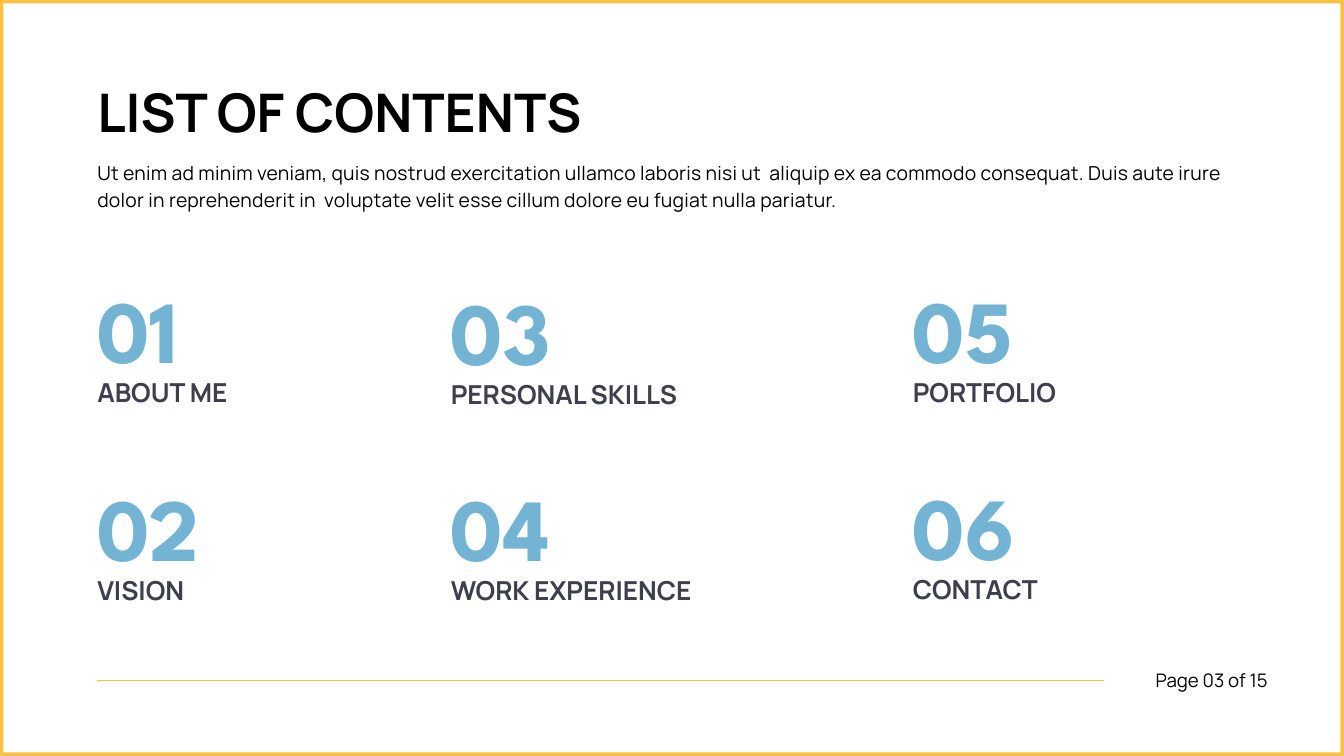
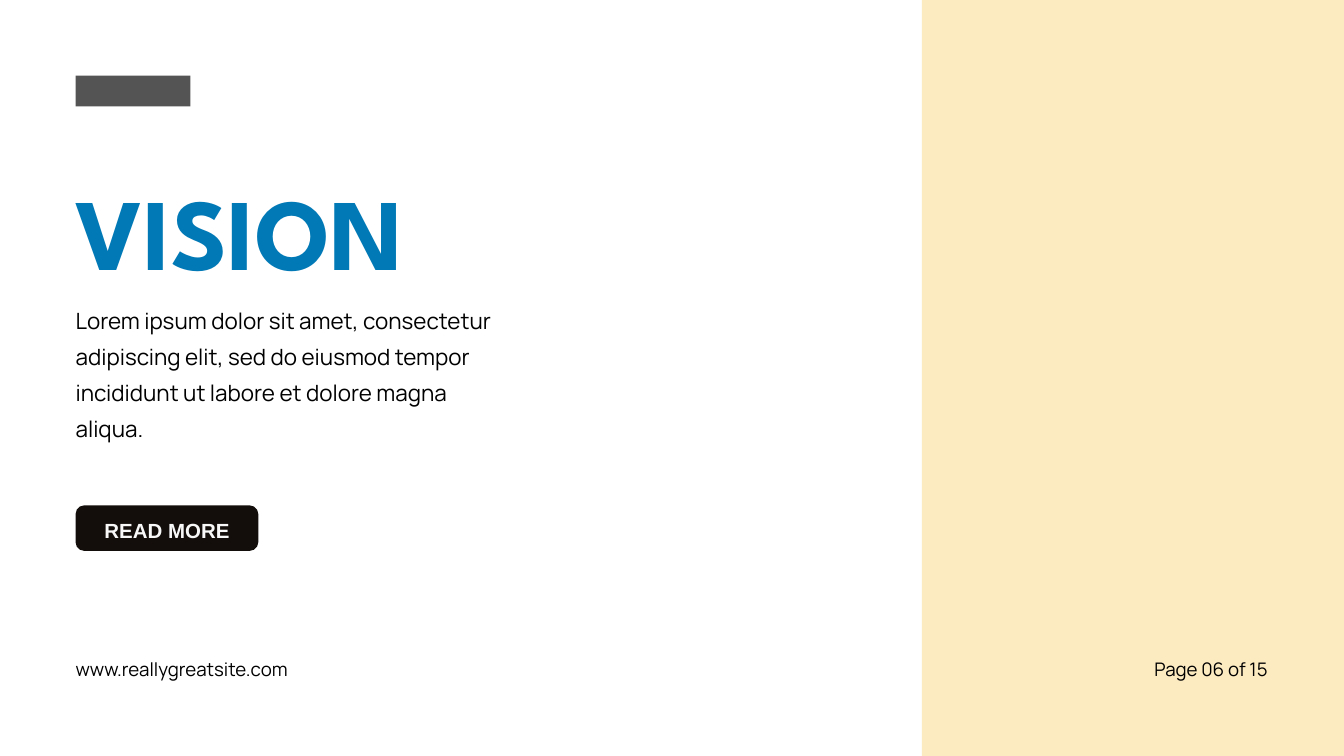
from lxml.etree import SubElement
from pptx import Presentation
from pptx.dml.color import RGBColor
from pptx.enum.shapes import MSO_CONNECTOR, MSO_SHAPE
from pptx.enum.text import MSO_ANCHOR, MSO_AUTO_SIZE, PP_ALIGN
from pptx.oxml.ns import qn
from pptx.util import Pt

EMU_PER_PX = 9525
SLIDE_WIDTH, SLIDE_HEIGHT = 1920, 1080
TITLE_AND_CONTENT = 1
COLORS = {
    "white": "FFFFFF", "black": "000000", "amber": "F9C041", "cream": "FCEAC1",
    "sky": "73B4D5", "blue": "0179B6", "slate": "3D3F4D", "gray": "545454",
    "ink": "130E0C", "mist": "F8F8F8",
}
# font, size, line spacing, colour, bold
STYLES = {
    "heading": ("Manrope", 57, 60.4, "black", True),
    "display": ("League Spartan", 108.8, 108.8, "blue", True),
    "intro": ("Manrope", 20.7, 29, "black", False),
    "body": ("Manrope", 24, 38.4, "black", False),
    "number": ("League Spartan", 95, 114, "sky", True),
    "label": ("Manrope", 28, 33.6, "slate", True),
    "footer": ("Manrope", 20, 28, "black", False),
    "button": ("Arial", 21.9, 30.6, "mist", True),
}
# left edge, tops of the two entries, entries
CONTENTS = [
    (139, (393, 676), [("01", "ABOUT ME"), ("02", "VISION")]),
    (644, (395, 676), [("03", "PERSONAL SKILLS"), ("04", "WORK EXPERIENCE")]),
    (1304, (393, 674), [("05", "PORTFOLIO"), ("06", "CONTACT")]),
]


def px(*lengths):
    return [length * EMU_PER_PX for length in lengths]


def color(name):
    return RGBColor.from_string(COLORS[name])


def write(shape, text, style, align=PP_ALIGN.LEFT, anchor=MSO_ANCHOR.TOP):
    font_name, size, spacing, color_name, bold = STYLES[style]
    frame = shape.text_frame
    frame.text = text
    frame.word_wrap = True
    frame.auto_size = MSO_AUTO_SIZE.NONE
    frame.vertical_anchor = anchor
    frame.margin_left = frame.margin_top = frame.margin_right = frame.margin_bottom = 0
    paragraph = frame.paragraphs[0]
    paragraph.alignment = align
    paragraph.line_spacing = Pt(spacing)
    paragraph.space_before = Pt(0)
    font = paragraph.runs[0].font
    font.name, font.size, font.bold = font_name, Pt(size), bold
    font.color.rgb = color(color_name)


def add_text(slide, box, text, style, align=PP_ALIGN.LEFT):
    write(slide.shapes.add_textbox(*px(*box)), text, style, align)


def add_block(slide, box, color_name, preset=MSO_SHAPE.RECTANGLE):
    shape = slide.shapes.add_shape(preset, *px(*box))
    shape.shadow.inherit = False
    shape.fill.solid()
    shape.fill.fore_color.rgb = color(color_name)
    shape.line.fill.background()
    return shape


def fill_placeholder(shape, box, text, style):
    shape.left, shape.top, shape.width, shape.height = px(*box)
    write(shape, text, style)


def fill_body(shape, box, text, style):
    """Fill the body placeholder as plain text, without bullet or indent."""
    fill_placeholder(shape, box, text, style)
    properties = shape.text_frame.paragraphs[0]._p.get_or_add_pPr()
    properties.set("marL", "0")
    properties.set("indent", "0")
    SubElement(properties, qn("a:buNone"))


def add_slide(presentation):
    slide = presentation.slides.add_slide(presentation.slide_layouts[TITLE_AND_CONTENT])
    slide.background.fill.solid()
    slide.background.fill.fore_color.rgb = color("white")
    return slide


def add_page_number(slide, top, number):
    add_text(slide, (1603, top, 208, 37), f"Page {number} of 15", "footer", PP_ALIGN.RIGHT)


def add_border(slide, thickness):
    border = add_block(slide, (0, 0, SLIDE_WIDTH, SLIDE_HEIGHT), "amber", MSO_SHAPE.FRAME)
    border.adjustments[0] = thickness / SLIDE_HEIGHT


def add_footer_rule(slide, left, right, top):
    rule = slide.shapes.add_connector(MSO_CONNECTOR.STRAIGHT, *px(left, top, right, top))
    rule.line.color.rgb = color("amber")
    rule.line.width = Pt(1.5)
    SubElement(rule._element.spPr, qn("a:effectLst"))


def add_entry(slide, left, top, number, label):
    add_text(slide, (left, top, 310, 150), number, "number")
    add_text(slide, (left, top + 145, 433, 47), label, "label")


def add_button(slide, box, text):
    button = add_block(slide, box, "ink", MSO_SHAPE.ROUNDED_RECTANGLE)
    button.adjustments[0] = 0.19
    write(button, text, "button", PP_ALIGN.CENTER, MSO_ANCHOR.MIDDLE)


def build_contents_slide(presentation):
    slide = add_slide(presentation)
    margin = 139
    add_border(slide, 5)
    fill_placeholder(slide.shapes.title, (margin, 124, 1170, 89), "LIST OF CONTENTS", "heading")
    intro = slide.placeholders[1]
    fill_body(
        intro, (margin, 224, 1627, 77),
        "Ut enim ad minim veniam, quis nostrud exercitation ullamco laboris nisi ut  "
        "aliquip ex ea commodo consequat. Duis aute irure dolor in reprehenderit in  "
        "voluptate velit esse cillum dolore eu fugiat nulla pariatur.", "intro")
    intro.text_frame.paragraphs[0].runs[0]._r.get_or_add_rPr().set("spc", "30")
    for left, tops, entries in CONTENTS:
        for top, (number, label) in zip(tops, entries):
            add_entry(slide, left, top, number, label)
    add_footer_rule(slide, margin, 1577, 972)
    add_page_number(slide, 950, "03")


def build_vision_slide(presentation):
    slide = add_slide(presentation)
    margin, panel_left, footer_top = 108, 1317, 934
    add_block(slide, (panel_left, 0, SLIDE_WIDTH - panel_left, SLIDE_HEIGHT), "cream")
    add_block(slide, (margin, margin, 164, 44), "gray")
    fill_placeholder(slide.shapes.title, (margin, 270, 632, 152), "VISION", "display")
    fill_body(
        slide.placeholders[1], (margin, 426, 595, 204),
        "Lorem ipsum dolor sit amet, consectetur adipiscing elit, sed do eiusmod tempor "
        "incididunt ut labore et dolore magna aliqua.", "body")
    add_button(slide, (margin, 722, 261, 65), "READ MORE")
    add_text(slide, (margin, footer_top, 428, 37), "www.reallygreatsite.com", "footer")
    add_page_number(slide, footer_top, "06")


def main():
    presentation = Presentation()
    presentation.slide_width, presentation.slide_height = px(SLIDE_WIDTH, SLIDE_HEIGHT)
    build_contents_slide(presentation)
    build_vision_slide(presentation)
    presentation.save("out.pptx")


if __name__ == "__main__":
    main()
